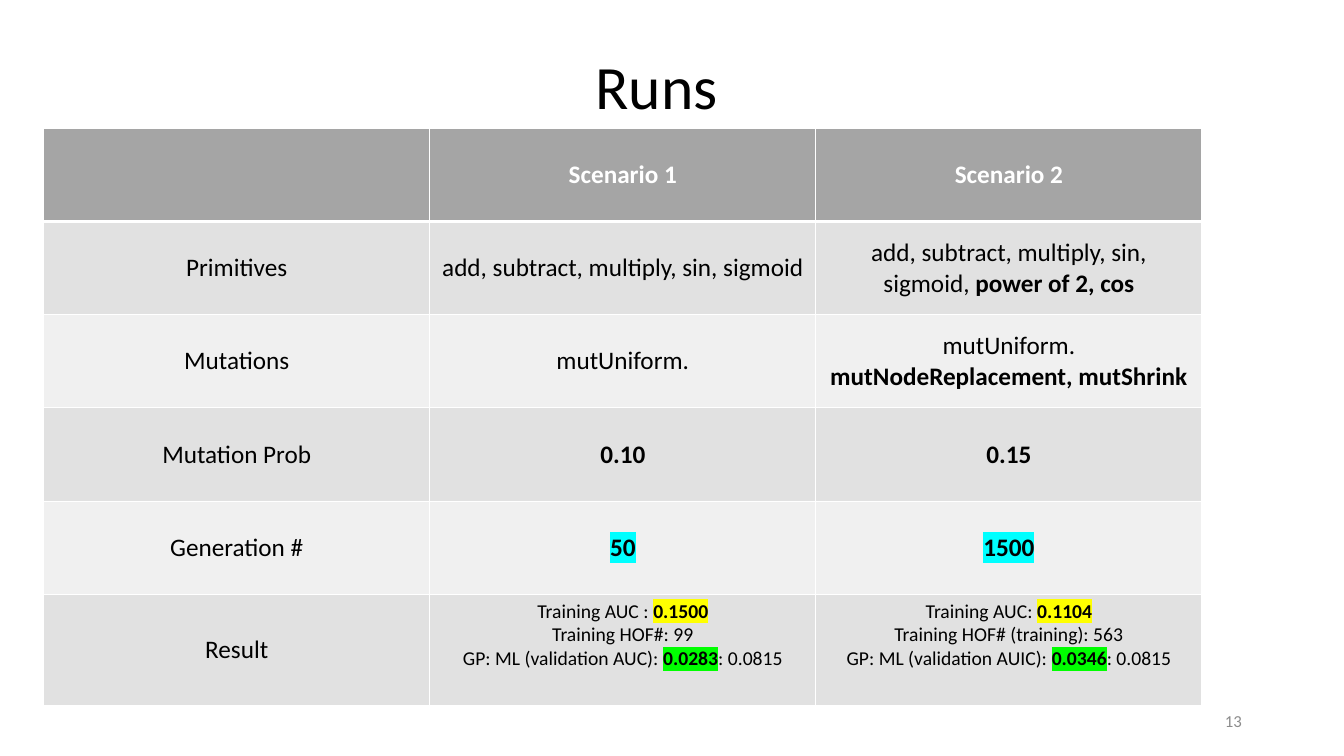
from typing import NamedTuple

import lxml.etree
import pptx
import pptx.dml.color
import pptx.enum.text
import pptx.oxml.ns
import pptx.table
import pptx.text.text
import pptx.util

FONT = "Calibri"
BLACK, WHITE, GREY = "000000", "FFFFFF", "8C8C8C"
HEADER_FILL, BAND_FILLS = "A5A5A5", ("E1E1E1", "F0F0F0")
CYAN, YELLOW, GREEN = "00FFFF", "FFFF00", "00FF00"
COLUMN_WIDTH, ROW_HEIGHT, RESULT_HEIGHT = 275.8, 66.6, 79.7
Align = pptx.enum.text.PP_ALIGN
Anchor = pptx.enum.text.MSO_ANCHOR


class Piece(NamedTuple):
    """A stretch of text with one look."""
    text: str
    bold: bool = False
    highlight: str = ""


Line = list[Piece]


class Row(NamedTuple):
    """A table row: one list of lines per cell."""
    cells: list[list[Line]]
    size: float = 18


def plain(text: str) -> list[Line]:
    """Return a cell of one regular line."""
    return [[Piece(text)]]


def strong(text: str, highlight: str = "") -> list[Line]:
    """Return a cell of one bold line."""
    return [[Piece(text, True, highlight)]]


def result(training: str, auc: str, hall_of_fame: str, validation: str, score: str) -> list[Line]:
    """Return the three lines of a result cell."""
    return [
        [Piece(training), Piece(auc, True, YELLOW)],
        [Piece(hall_of_fame)],
        [Piece(validation), Piece(score, True, GREEN), Piece(": 0.0815")],
    ]


ROWS = [
    Row([[], strong("Scenario 1"), strong("Scenario 2")]),
    Row([plain("Primitives"), plain("add, subtract, multiply, sin, sigmoid"),
         [[Piece("add, subtract, multiply, sin, sigmoid, "), Piece("power of 2, cos", True)]]]),
    Row([plain("Mutations"), plain("mutUniform."),
         [[Piece("mutUniform. "), Piece("mutNodeReplacement, mutShrink", True)]]]),
    Row([plain("Mutation Prob"), strong("0.10"), strong("0.15")]),
    Row([plain("Generation #"), strong("50", CYAN), strong("1500", CYAN)]),
    Row([plain("Result"),
         result("Training AUC : ", "0.1500", "Training HOF#: 99",
                "GP: ML (validation AUC): ", "0.0283"),
         result("Training AUC: ", "0.1104", "Training HOF# (training): 563",
                "GP: ML (validation AUIC): ", "0.0346")], size=14),
]


def rgb(value: str) -> pptx.dml.color.RGBColor:
    """Turn a hex string into a colour."""
    return pptx.dml.color.RGBColor.from_string(value)


def add_colour(parent: lxml.etree._Element, value: str) -> None:
    """Append a colour element to an XML parent."""
    lxml.etree.SubElement(parent, pptx.oxml.ns.qn("a:srgbClr"), val=value)


def format_run(run: pptx.text.text._Run, size: float, colour: str,
               bold: bool = False, highlight: str = "") -> None:
    """Set font, size, colour, weight and highlight of a run."""
    run.font.name = FONT
    run.font.size = pptx.util.Pt(size)
    run.font.bold = bold
    run.font.color.rgb = rgb(colour)
    if highlight:
        marker = lxml.etree.Element(pptx.oxml.ns.qn("a:highlight"))
        add_colour(marker, highlight)
        run.font._element.find(pptx.oxml.ns.qn("a:solidFill")).addnext(marker)


def write_lines(text_frame: pptx.text.text.TextFrame, lines: list[Line],
                size: float, colour: str, alignment: Align) -> None:
    """Fill a text frame with formatted lines."""
    for index, line in enumerate(lines):
        paragraph = text_frame.add_paragraph() if index else text_frame.paragraphs[0]
        paragraph.alignment = alignment
        for piece in line:
            run = paragraph.add_run()
            run.text = piece.text
            format_run(run, size, colour, piece.bold, piece.highlight)


def draw_borders(cell: pptx.table._Cell, top: float, bottom: float) -> None:
    """Give a cell white borders of the given widths."""
    properties = cell._tc.get_or_add_tcPr()
    for side, width in (("L", 1), ("R", 1), ("T", top), ("B", bottom)):
        border = lxml.etree.SubElement(properties, pptx.oxml.ns.qn(f"a:ln{side}"),
                                       w=str(pptx.util.Pt(width)))
        add_colour(lxml.etree.SubElement(border, pptx.oxml.ns.qn("a:solidFill")), WHITE)


def draw_table(slide: pptx.slide.Slide) -> None:
    """Draw the table that compares the scenarios."""
    heights = [ROW_HEIGHT] * (len(ROWS) - 1) + [RESULT_HEIGHT]
    column_count = len(ROWS[0].cells)
    table = slide.shapes.add_table(
        len(ROWS), column_count, pptx.util.Pt(31.2), pptx.util.Pt(91.6),
        pptx.util.Pt(COLUMN_WIDTH * column_count), pptx.util.Pt(sum(heights))).table
    table.horz_banding = False
    for column in table.columns:
        column.width = pptx.util.Pt(COLUMN_WIDTH)
    for row_index, (row, height) in enumerate(zip(ROWS, heights)):
        table.rows[row_index].height = pptx.util.Pt(height)
        is_header = row_index == 0
        fill = HEADER_FILL if is_header else BAND_FILLS[(row_index - 1) % 2]
        for column_index, lines in enumerate(row.cells):
            cell = table.cell(row_index, column_index)
            draw_borders(cell, 3 if row_index == 1 else 1, 3 if is_header else 1)
            cell.fill.solid()
            cell.fill.fore_color.rgb = rgb(fill)
            cell.vertical_anchor = Anchor.TOP if len(lines) > 1 else Anchor.MIDDLE
            size = row.size if column_index else 18
            write_lines(cell.text_frame, lines, size, WHITE if is_header else BLACK, Align.CENTER)


def draw_title(slide: pptx.slide.Slide) -> None:
    """Place and format the slide title."""
    title = slide.shapes.title
    title.left, title.top = pptx.util.Pt(200.9), pptx.util.Pt(20.2)
    title.width, title.height = pptx.util.Pt(536.4), pptx.util.Pt(71.3)
    title.text_frame.auto_size = pptx.enum.text.MSO_AUTO_SIZE.NONE
    title.text_frame.vertical_anchor = Anchor.BOTTOM
    write_lines(title.text_frame, plain("Runs"), 44, BLACK, Align.CENTER)
    title.text_frame.paragraphs[0].line_spacing = 0.9


def draw_page_number(slide: pptx.slide.Slide) -> None:
    """Write the page number at the lower right."""
    box = slide.shapes.add_textbox(pptx.util.Pt(678.2), pptx.util.Pt(500.4),
                                   pptx.util.Pt(216), pptx.util.Pt(28.8))
    box.text_frame.word_wrap = True
    box.text_frame.vertical_anchor = Anchor.MIDDLE
    write_lines(box.text_frame, plain("13"), 12, GREY, Align.RIGHT)


def main() -> None:
    """Build and save the presentation."""
    presentation = pptx.Presentation()
    presentation.slide_width = pptx.util.Pt(960)
    presentation.slide_height = pptx.util.Pt(540)
    slide = presentation.slides.add_slide(presentation.slide_layouts.get_by_name("Title Only"))
    draw_title(slide)
    draw_page_number(slide)
    draw_table(slide)
    presentation.save("out.pptx")


main()
